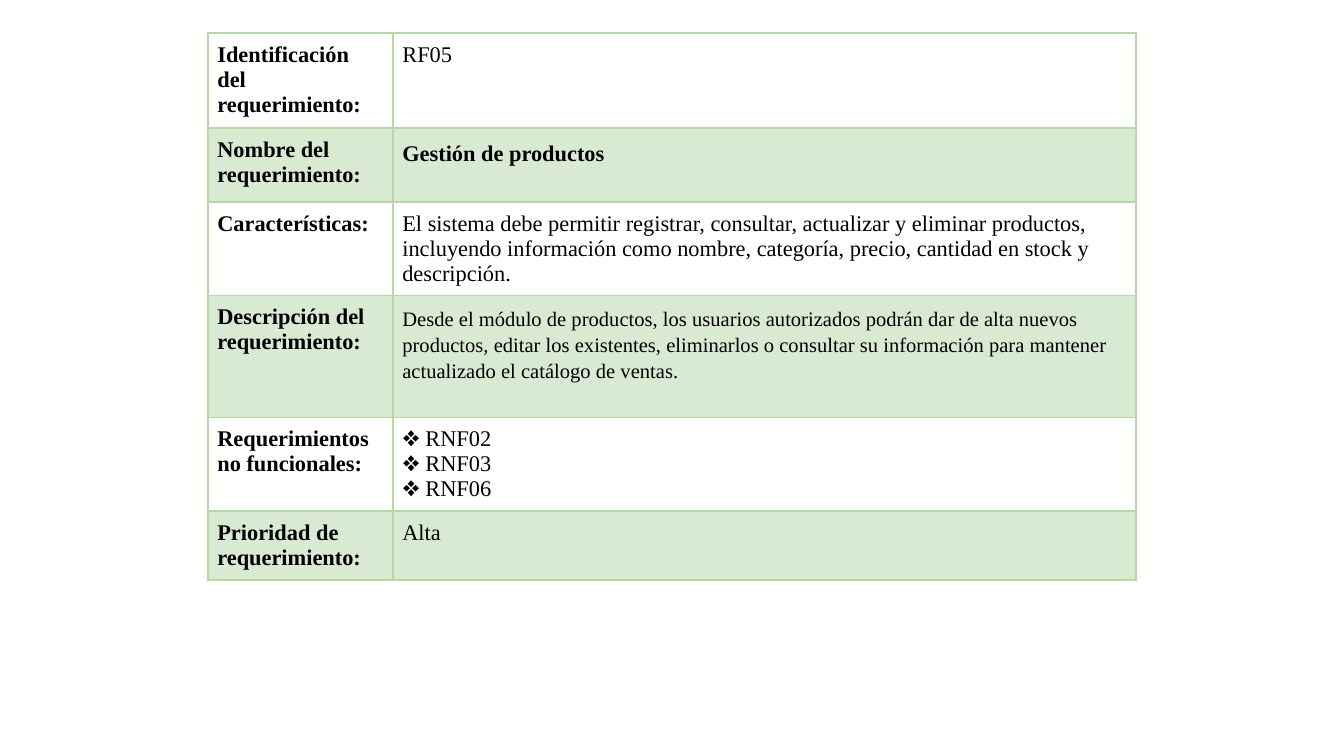
import pptx
import pptx.util
import pptx.dml.color
import pptx.oxml
import pptx.oxml.ns
from lxml import etree

HUE = {"text": "000000", "band": "D9EAD3", "edge": "B6D7A8"}
FACE = "Times New Roman"
PX = 914400 / 134.4

# Each row: height, label lines, value lines, value format
ROWS = [
    (95, ["Identificación", "del", "requerimiento:"], ["RF05"], {}),
    (74, ["Nombre del", "requerimiento:"], ["Gestión de productos"],
     {"bold": True, "space": 1.15}),
    (93, ["Características:"],
     ["El sistema debe permitir registrar, consultar, actualizar y eliminar "
      "productos, incluyendo información como nombre, categoría, precio, "
      "cantidad en stock y descripción."], {}),
    (122, ["Descripción del", "requerimiento:"],
     ["Desde el módulo de productos, los usuarios autorizados podrán dar de "
      "alta nuevos productos, editar los existentes, eliminarlos o consultar "
      "su información para mantener actualizado el catálogo de ventas."],
     {"size": 11, "space": 1.15}),
    (94, ["Requerimientos", "no funcionales:"],
     ["❖ RNF02", "❖ RNF03", "❖ RNF06"], {}),
    (68, ["Prioridad de", "requerimiento:"], ["Alta"], {}),
]
COLS = [185, 743]
LEFT, TOP = 208, 33


def px(n):
    return pptx.util.Emu(round(n * PX))


def rgb(name):
    return pptx.dml.color.RGBColor.from_string(HUE[name])


def edge(cell):
    """Draw a 1 pt line on all four sides; lines precede the fill."""
    props = cell._tc.get_or_add_tcPr()
    for i, side in enumerate(("lnL", "lnR", "lnT", "lnB")):
        line = etree.Element(pptx.oxml.ns.qn("a:" + side), w="12700")
        fill = etree.SubElement(line, pptx.oxml.ns.qn("a:solidFill"))
        etree.SubElement(fill, pptx.oxml.ns.qn("a:srgbClr"), val=HUE["edge"])
        props.insert(i, line)


def write(cell, lines, bold=False, size=12, space=None):
    frame = cell.text_frame
    frame.text = "\n".join(lines)
    look = {"name": FACE, "size": pptx.util.Pt(size), "bold": bold}
    for para in frame.paragraphs:
        if space:
            para.line_spacing = space
        for run in para.runs:
            for key, val in look.items():
                setattr(run.font, key, val)
            run.font.color.rgb = rgb("text")


def main():
    deck = pptx.Presentation()
    deck.slide_width, deck.slide_height = px(1344), px(756)
    slide = deck.slides.add_slide(deck.slide_layouts[6])

    # Table frame
    high = sum(row[0] for row in ROWS)
    table = slide.shapes.add_table(len(ROWS), len(COLS), px(LEFT), px(TOP),
                                   px(sum(COLS)), px(high)).table
    table.first_row = table.horz_banding = False
    for col, wide in zip(table.columns, COLS):
        col.width = px(wide)

    # Rows, with every second one tinted
    for i, (tall, label, value, look) in enumerate(ROWS):
        row = table.rows[i]
        row.height = px(tall)
        write(row.cells[0], label, bold=True)
        write(row.cells[1], value, **look)
        for cell in row.cells:
            for side in ("left", "right", "top", "bottom"):
                setattr(cell, "margin_" + side, pptx.util.Inches(0.07))
            if i % 2:
                cell.fill.solid()
                cell.fill.fore_color.rgb = rgb("band")
            else:
                cell.fill.background()
            edge(cell)

    deck.save("out.pptx")


if __name__ == "__main__":
    main()
